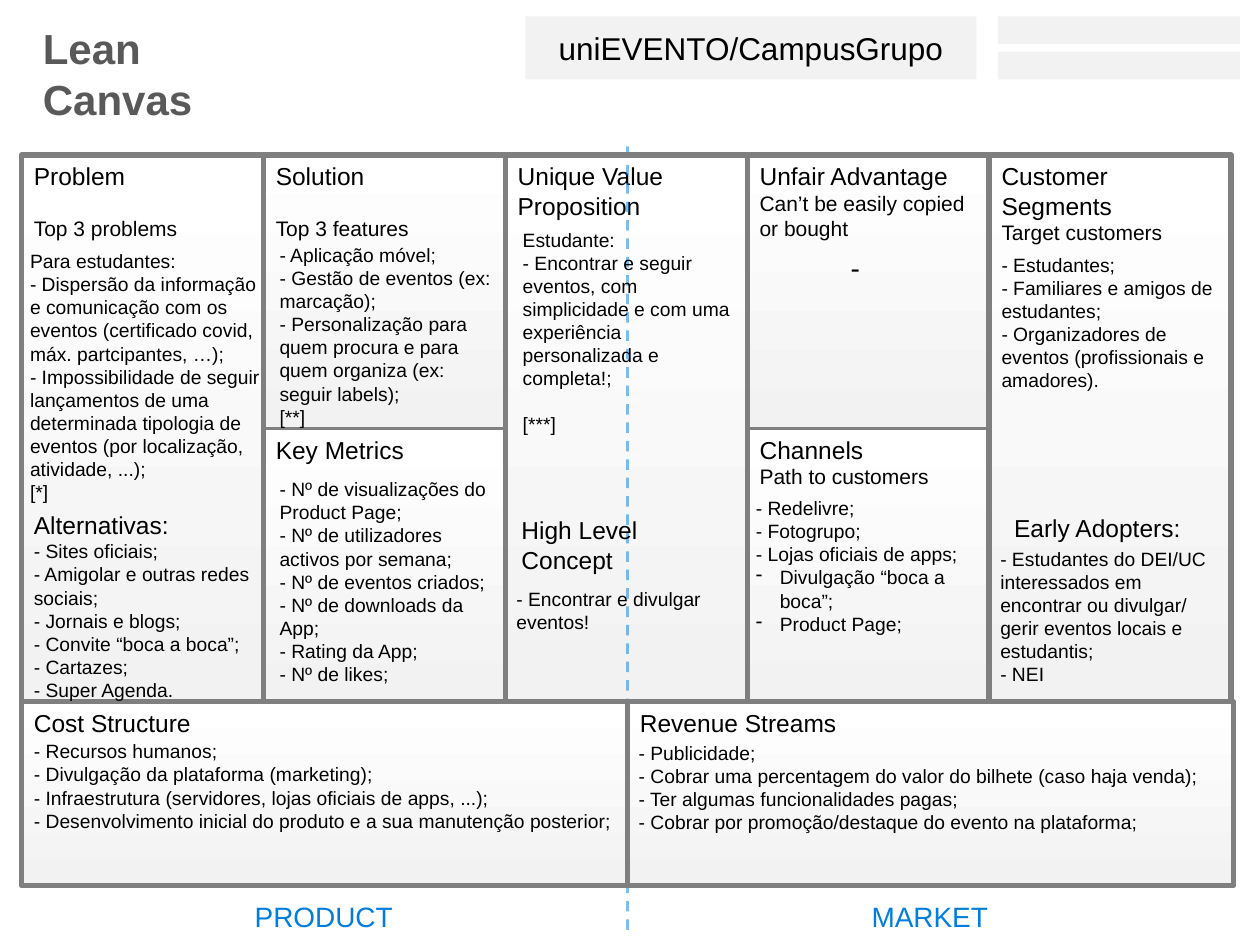
from lxml import etree
from pptx import Presentation
from pptx import util as u
from pptx.dml.color import RGBColor
from pptx.enum import dml, shapes, text
from pptx.oxml.ns import qn

# Grid: five columns over two rows, then a footer of two halves
LEFT, TOP, COL, ROW = 0.17, 1.23, 1.92, 2.17
BASE, HALF, FOOT = TOP + 2 * ROW, 4.81, 1.46
MID = LEFT + HALF
GREY, PALE, BLUE, INK = "7F7F7F", "F2F2F2", "007DDA", "000000"
HEAD, SUB, BODY = 14, 12, 11


def cell(col, row=0, rows=1):
    return LEFT + col * COL, TOP + row * ROW, COL, rows * ROW


def foot(col):
    return LEFT + col * HALF, BASE, HALF, FOOT


# Card: box, heading, subheading, gap above the subheading (pt)
CARDS = [
    (foot(0), "Cost Structure", "", 0),
    (foot(1), "Revenue Streams", "", 0),
    (cell(0, 0, 2), "Problem", "Top 3 problems", 14),
    (cell(1), "Solution", "Top 3 features", 14),
    (cell(1, 1), "Key Metrics", "", 0),
    (cell(2, 0, 2), "Unique Value Proposition", "", 0),
    (cell(3), "Unfair Advantage", "Can’t be easily copied or bought", 0),
    (cell(3, 1), "Channels", "Path to customers", 0),
    (cell(4, 0, 2), "Customer Segments", "Target customers", 0),
]

# Note: box of its card, offset (x, y), size (w, h), lines;
# a line is plain, or a pair of text and format
NOTES = [
    (foot(0), (0, 0.25), (HALF, 1.22), [
        "- Recursos humanos;",
        "- Divulgação da plataforma (marketing);",
        "- Infraestrutura (servidores, lojas oficiais de apps, ...);",
        "- Desenvolvimento inicial do produto e a sua manutenção posterior;"]),
    (foot(1), (-0.01, 0.26), (HALF, 1.22), [
        "- Publicidade;",
        "- Cobrar uma percentagem do valor do bilhete (caso haja venda);",
        "- Ter algumas funcionalidades pagas;",
        "- Cobrar por promoção/destaque do evento na plataforma;"]),
    (cell(0), (-0.03, 0.7), (2.03, 2.19), [
        "Para estudantes:",
        "- Dispersão da informação e comunicação com os eventos "
        "(certificado covid, máx. partcipantes, …);",
        "- Impossibilidade de seguir lançamentos de uma determinada tipologia "
        "de eventos (por localização, atividade, ...);",
        "[*]"]),
    (cell(0, 1), (0, 0.6), (2, 1.71), [
        ("Alternativas:", {"size": HEAD}),
        "- Sites oficiais;",
        "- Amigolar e outras redes sociais;",
        "- Jornais e blogs;",
        "- Convite “boca a boca”;",
        "- Cartazes;",
        "- Super Agenda."]),
    (cell(1), (0.03, 0.65), (COL, 1.52), [
        "- Aplicação móvel;",
        "- Gestão de eventos (ex: marcação);",
        "- Personalização para quem procura e para quem organiza "
        "(ex: seguir labels);",
        "[**]"]),
    (cell(1, 1), (0.03, 0.34), (COL, 1.92), [
        "- Nº de visualizações do Product Page;",
        "- Nº de utilizadores activos por semana;",
        "- Nº de eventos criados;",
        "- Nº de downloads da App;",
        "- Rating da App;",
        "- Nº de likes;"]),
    (cell(2), (0.04, 0.53), (COL, 2.26), [
        "Estudante:",
        "- Encontrar e seguir eventos, com simplicidade e com uma "
        "experiência personalizada e completa!;",
        ("[***]", {"before": 13})]),
    (cell(2, 1), (0.03, 0.64), (1.74, 0.81),
     [("High Level Concept", {"size": HEAD})]),
    (cell(2, 1), (-0.01, 1.21), (COL, 0.96),
     ["- Encontrar e divulgar eventos!"]),
    (cell(3), (0.01, 0.71), (1.76, 0.37),
     [("- ", {"size": 16, "align": "CENTER"})]),
    (cell(3, 1), (-0.03, 0.49), (COL, 1.68), [
        "- Redelivre;",
        "- Fotogrupo;",
        "- Lojas oficiais de apps;",
        ("Divulgação “boca a boca”;", {"bullet": "-"}),
        ("Product Page;", {"bullet": "-"})]),
    (cell(4), (0, 0.73), (COL, 2.08), [
        "- Estudantes;",
        "- Familiares e amigos de estudantes;",
        "- Organizadores de eventos (profissionais e amadores)."]),
    (cell(4, 1), (0.1, 0.62), (1.75, 0.34),
     [("Early Adopters:", {"size": HEAD})]),
    (cell(4, 1), (-0.01, 0.89), (COL, 1.31), [
        "- Estudantes do DEI/UC interessados em encontrar ou divulgar/ "
        "gerir eventos locais e estudantis;",
        "- NEI"]),
]


def rgb(code):
    return RGBColor.from_string(code)


def inch(*vals):
    return [u.Inches(v) for v in vals]


def style(obj, vals):
    for key, val in vals.items():
        setattr(obj, key, val)


def bullet(para, mark):
    props = para._p.get_or_add_pPr()
    props.set("marL", str(u.Inches(0.19)))
    props.set("indent", str(-u.Inches(0.19)))
    etree.SubElement(props, qn("a:buChar")).set("char", mark)


def write(shape, lines, anchor="TOP"):
    frame = shape.text_frame
    style(frame, {"word_wrap": True, "auto_size": text.MSO_AUTO_SIZE.NONE,
                  "vertical_anchor": text.MSO_ANCHOR[anchor]})
    for num, line in enumerate(lines):
        words, fmt = (line, {}) if isinstance(line, str) else line
        para = frame.add_paragraph() if num else frame.paragraphs[0]
        style(para, {"text": words,
                     "alignment": text.PP_ALIGN[fmt.get("align", "LEFT")],
                     "space_before": u.Pt(fmt.get("before", 0))})
        style(para.font, {"name": "Arial", "bold": fmt.get("bold", False),
                          "size": u.Pt(fmt.get("size", BODY))})
        para.font.color.rgb = rgb(fmt.get("color", INK))
        if "bullet" in fmt:
            bullet(para, fmt["bullet"])


def label(slide, box, lines):
    write(slide.shapes.add_textbox(*inch(*box)), lines)


def block(slide, box, fill=None, line=0, kind="RECTANGLE"):
    shape = slide.shapes.add_shape(shapes.MSO_SHAPE[kind], *inch(*box))
    shape.shadow.inherit = False
    if kind == "ROUNDED_RECTANGLE":
        shape.adjustments[0] = 0
    if fill:
        shape.fill.solid()
        shape.fill.fore_color.rgb = rgb(fill)
    else:
        shape.fill.background()
    if line:
        shape.line.color.rgb = rgb(GREY)
        shape.line.width = u.Pt(line)
    else:
        shape.line.fill.background()
    return shape


def card(slide, box, head, sub, gap):
    shape = block(slide, box, line=1.5, kind="ROUNDED_RECTANGLE")
    shape.fill.gradient()
    shape.fill.gradient_angle = 90
    for stop, spot, tone in zip(shape.fill.gradient_stops, (0, 1),
                                (PALE, "FFFFFF")):
        stop.position = spot
        stop.color.rgb = rgb(tone)
    lines = [(head, {"size": HEAD})]
    if sub:
        lines.append((sub, {"size": SUB, "before": gap}))
    write(shape, lines)


def header(slide, x, y):
    title = slide.shapes.title
    style(title, dict(zip(("left", "top", "width", "height"),
                          inch(x, y, COL, 0.5))))
    write(title, [("Lean Canvas", {"size": 24, "bold": True,
                                   "color": "595959"})])
    name = block(slide, (x + 3.93, y, 3.58, 0.5), PALE)
    write(name, [("uniEVENTO/CampusGrupo", {"size": 18, "align": "CENTER"})],
          "MIDDLE")
    for row in range(2):
        block(slide, (x + 7.68, y + row * 0.28, COL, 0.22), PALE)


def axis(slide, x, top, end):
    line = slide.shapes.add_connector(shapes.MSO_CONNECTOR.STRAIGHT,
                                      *inch(x, end, x, top))
    style(line.line, {"width": u.Pt(1.5),
                      "dash_style": dml.MSO_LINE.DASH})
    line.line.color.rgb = rgb(BLUE)
    tone = line._element.spPr.find(".//" + qn("a:srgbClr"))
    etree.SubElement(tone, qn("a:alpha")).set("val", "50000")
    etree.SubElement(line._element.spPr, qn("a:effectLst"))


def main():
    deck = Presentation()
    deck.slide_width, deck.slide_height = inch(10, 7.5)
    slide = deck.slides.add_slide(deck.slide_layouts[5])
    header(slide, 0.24, 0.13)

    # Cards and the line between product and market
    for item in CARDS:
        card(slide, *item)
    axis(slide, MID, 1.11, 7.38)

    # Heavy frames
    for box in [cell(col, 0, 2) for col in range(5)] + [foot(0), foot(1)]:
        block(slide, box, line=3, kind="ROUNDED_RECTANGLE")

    # Notes and the names of the two sides
    for (x, y, *_), (dx, dy), size, lines in NOTES:
        label(slide, (x + dx, y + dy, *size), lines)
    for side, mid in (("PRODUCT", 2.57), ("MARKET", 7.38)):
        label(slide, (mid - 0.65, 7.09, 1.3, 0.37),
              [(side, {"size": 16, "align": "CENTER", "color": BLUE})])
    deck.save("out.pptx")


if __name__ == "__main__":
    main()
